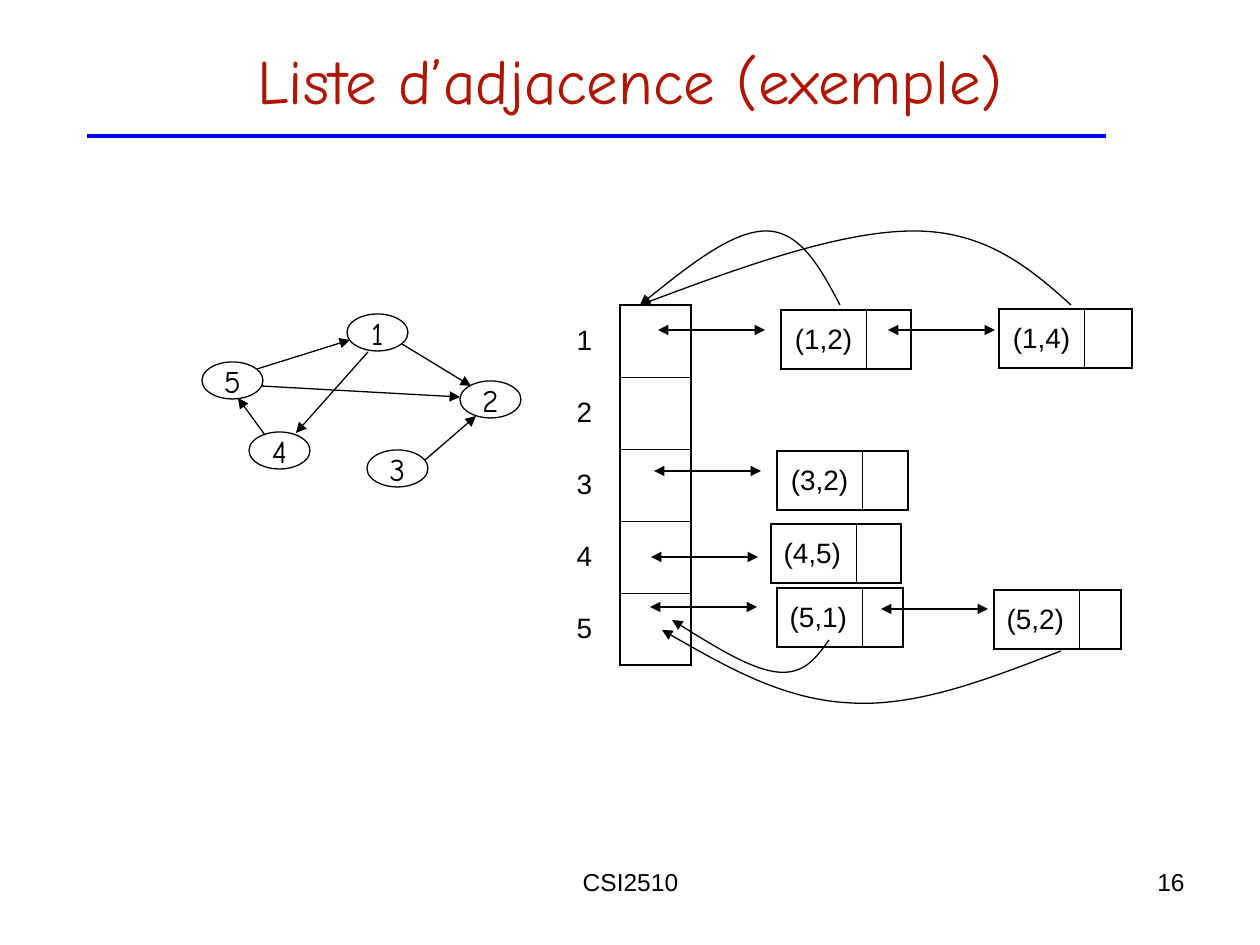
from dataclasses import dataclass
from lxml.etree import SubElement as Sub, Element as Elem
from pptx import Presentation as Deck
from pptx.dml.color import RGBColor as Color
from pptx.enum.shapes import MSO_CONNECTOR as Link, MSO_SHAPE as Form
from pptx.enum.text import MSO_ANCHOR as Anchor, PP_ALIGN as Align
from pptx.oxml.ns import qn
from pptx.util import Emu, Pt

SCALE = 914400 / 126


def px(*nums):
    return [Emu(round(num * SCALE)) for num in nums]


@dataclass(frozen=True)
class Theme:
    ink: str = "000000"
    paper: str = "FFFFFF"
    red: str = "AE1502"
    blue: str = "0000FF"
    sans: str = "Arial"
    comic: str = "Comic Neue"
    head: int = 36
    label: int = 18
    body: int = 16
    foot: int = 14
    thin: float = 0.45
    line: float = 0.75
    edge: float = 1.08
    rule: float = 2.75


def write(frame, text, font, size, color, align=Align.CENTER):
    para = frame.paragraphs[0]
    para.alignment = align
    run = para.add_run()
    run.text = text
    run.font.name = font
    run.font.size = Pt(size)
    run.font.color.rgb = Color.from_string(color)


class Page:
    def __init__(self, slide, theme):
        self.shapes = slide.shapes
        self.theme = theme

    def text(self, box, text, anchor=Anchor.TOP, **form):
        frame = self.shapes.add_textbox(*px(*box)).text_frame
        frame.word_wrap = True
        frame.vertical_anchor = anchor
        write(frame, text, **form)

    def stroke(self, shape, color=None, width=None, ends=()):
        shape.line.color.rgb = Color.from_string(color or self.theme.ink)
        shape.line.width = Pt(width or self.theme.line)
        line = shape.element.spPr.find(qn("a:ln"))
        for end in ends:
            Sub(line, qn(f"a:{end}End"), type="triangle")

    def vertex(self, left, top, text):
        shape = self.shapes.add_shape(Form.OVAL, *px(left, top, 61, 37))
        shape.shadow.inherit = False
        shape.fill.solid()
        shape.fill.fore_color.rgb = Color.from_string(self.theme.paper)
        self.stroke(shape)
        frame = shape.text_frame
        frame.word_wrap = False
        frame.vertical_anchor = Anchor.MIDDLE
        write(frame, text, self.theme.comic, self.theme.label, self.theme.ink)

    def line(self, points, **look):
        shape = self.shapes.add_connector(Link.STRAIGHT, *px(*points))
        self.stroke(shape, **look)
        Sub(shape.element.spPr, qn("a:effectLst"))

    def curve(self, start, *points):
        pen = self.shapes.build_freeform(*start, scale=SCALE)
        pen.add_line_segments(points, close=False)
        shape = pen.convert_to_shape()
        shape.shadow.inherit = False
        shape.fill.background()
        self.stroke(shape, ends=["tail"])
        trace = next(shape.element.iter(qn("a:path")))
        steps = trace.findall(qn("a:lnTo"))
        for at in range(0, len(steps), 3):
            bend = Sub(trace, qn("a:cubicBezTo"))
            for step in steps[at:at + 3]:
                bend.append(step[0])
                trace.remove(step)

    def border(self, cell, *widths):
        cell.fill.background()
        props = cell._tc.get_or_add_tcPr()
        for spot, (side, width) in enumerate(zip("LRTB", widths)):
            line = Elem(qn(f"a:ln{side}"), w=str(Pt(width)))
            if width:
                fill = Sub(line, qn("a:solidFill"))
                Sub(fill, qn("a:srgbClr"), val=self.theme.ink)
            else:
                Sub(line, qn("a:noFill"))
            props.insert(spot, line)

    def grid(self, left, top, cols, high, texts, boxed, align=Align.CENTER):
        theme = self.theme
        count = len(texts)
        table = self.shapes.add_table(
            count, 2, *px(left, top, sum(cols), high * count)).table
        table.first_row = table.horz_banding = False
        for col, wide in zip(table.columns, px(*cols)):
            col.width = wide
        side = theme.edge if boxed else 0
        split = theme.thin if boxed else theme.edge
        for row, text in enumerate(texts):
            table.rows[row].height = px(high)[0]
            name, slot = table.rows[row].cells
            upper = theme.thin if row else theme.edge
            lower = theme.thin if row < count - 1 else theme.edge
            self.border(name, side, split, upper * boxed, lower * boxed)
            self.border(slot, split, theme.edge, upper, lower)
            name.vertical_anchor = Anchor.MIDDLE
            write(name.text_frame, text, theme.sans, theme.body, theme.ink, align)


def main():
    deck = Deck()
    deck.slide_width, deck.slide_height = px(1260, 945)
    theme = Theme()
    page = Page(deck.slides.add_slide(deck.slide_layouts[6]), theme)

    foot = dict(font=theme.sans, size=theme.foot, color=theme.ink)
    page.text((431, 861, 399, 65), "CSI2510", **foot)
    page.text((903, 861, 294, 65), "16", align=Align.RIGHT, **foot)
    page.text((63, 0, 1134, 158), "Liste d’adjacence (exemple)", Anchor.MIDDLE,
              font=theme.comic, size=theme.head, color=theme.red)
    page.line((87, 136, 1106, 136), color=theme.blue, width=theme.rule)

    for spot in [(202, 362, "5"), (347, 314, "1"), (249, 432, "4"),
                 (460, 381, "2"), (367, 450, "3")]:
        page.vertex(*spot)
    for edge in [(257, 369, 350, 340), (402, 344, 471, 386),
                 (425, 460, 476, 416), (265, 435, 238, 398),
                 (261, 386, 460, 397), (368, 352, 296, 433)]:
        page.line(edge, ends=["tail"])

    page.grid(549, 305, (71, 71), 72, "12345", False)
    for left, top, text, slot, align in [
            (781, 310, "(1,2)", 45, Align.CENTER),
            (999, 309, "(1,4)", 48, Align.CENTER),
            (777, 451, "(3,2)", 46, Align.CENTER),
            (771, 524, "(4,5)", 45, Align.LEFT),
            (777, 588, "(5,1)", 41, Align.LEFT),
            (994, 590, "(5,2)", 42, Align.LEFT)]:
        page.grid(left, top, (85, slot), 59, [text], True, align)

    for left, top in [(658, 330), (654, 471), (651, 557), (650, 607),
                      (888, 330), (881, 609)]:
        page.line((left, top, left + 107, top), ends=["head", "tail"])

    for points in [
            [(1061, 651), (989, 679), (917, 707), (851, 703),
             (784, 700), (723, 665), (662, 630)],
            [(829, 640), (816, 658), (804, 675), (777, 672),
             (751, 669), (712, 645), (672, 620)],
            [(840, 305), (820, 267), (800, 231), (766, 231),
             (733, 231), (687, 267), (640, 305)],
            [(1071, 305), (1029, 267), (985, 231), (914, 231),
             (842, 231), (741, 267), (640, 305)]]:
        page.curve(*points)

    deck.save("out.pptx")


if __name__ == "__main__":
    main()
